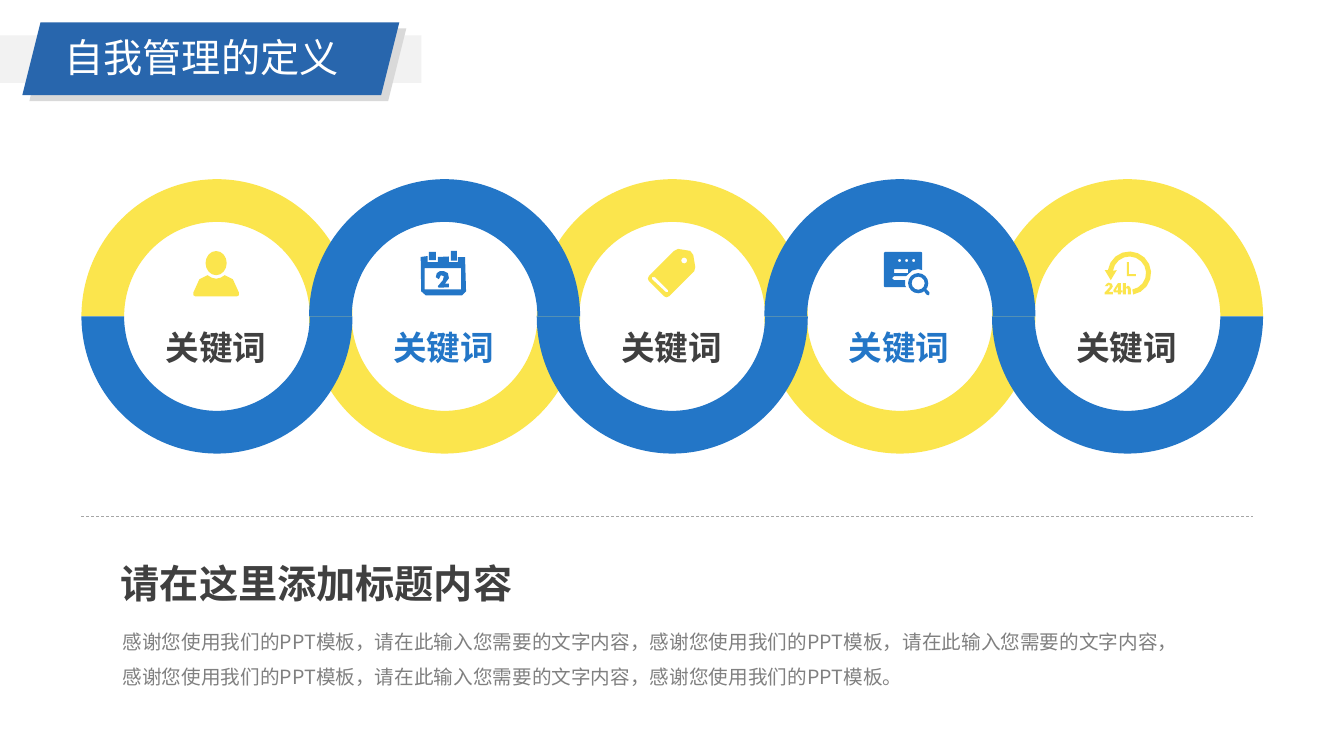
import math

import pptx
import pptx.dml.color
import pptx.enum.dml
import pptx.enum.shapes
import pptx.enum.text
import pptx.oxml.ns
import pptx.util
from lxml import etree

Pt = pptx.util.Pt
RGBColor = pptx.dml.color.RGBColor
SHAPES = pptx.enum.shapes.MSO_SHAPE
ALIGN = pptx.enum.text.PP_ALIGN
ANCHOR = pptx.enum.text.MSO_ANCHOR

# Content
TITLE = "自我管理的定义"
KEYWORDS = ["关键词"] * 5
HEADING = "请在这里添加标题内容"
BODY = ("感谢您使用我们的PPT模板，请在此输入您需要的文字内容，"
        "感谢您使用我们的PPT模板，请在此输入您需要的文字内容，"
        "感谢您使用我们的PPT模板，请在此输入您需要的文字内容，"
        "感谢您使用我们的PPT模板。")

# Style
FONT = "Noto Sans CJK SC"
WHITE = RGBColor(0xFF, 0xFF, 0xFF)
PALE = RGBColor(0xF2, 0xF2, 0xF2)
SHADE = RGBColor(0xD9, 0xD9, 0xD9)
BANNER = RGBColor(0x28, 0x66, 0xAD)
YELLOW = RGBColor(0xFB, 0xE5, 0x4D)
BLUE = RGBColor(0x23, 0x76, 0xC7)
DARK = RGBColor(0x40, 0x40, 0x40)
GREY = RGBColor(0x80, 0x80, 0x80)
RULE = RGBColor(0xA6, 0xA6, 0xA6)

# Ring chain, in points
FIRST_X, CENTER_Y, PITCH = 155, 226, 162.6
RADIUS_X, RADIUS_Y, BAND = 96.8, 98, 30.5
HALF_TURN = 108  # 180 degrees in block-arc adjustment units
ICON_UNIT = 0.72


def arc(x, y, radius_x, radius_y, start=0, end=360, steps=12):
    """Points along an ellipse; angles in degrees, clockwise from the right."""
    angles = [math.radians(start + (end - start) * i / steps) for i in range(steps + 1)]
    return [(x + radius_x * math.cos(a), y + radius_y * math.sin(a)) for a in angles]


def disc(x, y, radius, steps=12):
    return arc(x, y, radius, radius, steps=steps)


def block(left, top, right, bottom):
    return [(left, top), (right, top), (right, bottom), (left, bottom)]


# Icons: left, top in points, then outlines on a grid of ICON_UNIT; nested outlines are holes
PERSON = (138.2, 179.3, [
    arc(22.5, 12, 10.5, 12, steps=16),
    [(14, 24), (18, 26.5), (22.5, 27.5), (27, 26.5), (31, 24), (39, 28), (40, 30), (45, 41),
     (45, 44), (43, 45), (2, 45), (0, 44), (0, 41), (5, 30), (6, 28)],
])
CALENDAR = (300.5, 179.3, [
    [(0, 6), (7, 5), (7, 11), (17, 11), (17, 6), (28, 5.5), (28, 11), (37, 11), (37, 6),
     (44, 6), (45, 40), (41, 44), (5, 44), (0.5, 40)],
    block(4, 17, 40, 38),
    block(8, 1, 15, 9),
    block(30, 0, 36, 9.5),
    [(15, 26), (18, 28), (20, 24), (23, 25), (22, 29), (17, 35), (18, 36.5), (28, 36),
     (28, 32.5), (24, 32.5), (28, 27), (27, 22), (23, 20), (19, 20), (16, 22)],
])
TAG = (462.8, 177.8, [
    [(47, 18), (45, 6), (42, 2), (30, 0), (26, 2), (1, 27), (0, 29.5), (1, 32),
     (16, 47), (18.5, 48), (21, 47), (46, 22)],
    [(4, 28), (7, 28), (20, 41), (20, 43), (18, 43), (4, 30)],
    disc(36, 11.5, 3, 8),
])
SEARCH = (631.4, 180, [
    [(0, 1), (1, 0), (37, 0), (38, 1), (38, 18), (34, 17), (28, 18.5), (22, 24), (10, 24),
     (8, 26), (10, 28), (21, 28), (21, 33), (22, 35), (1, 35), (0, 34)],
    block(10, 17, 24, 21),
    *[disc(x, 8.5, 1.6, 6) for x in (15.5, 22.5, 29.5)],
    disc(34, 31, 10, 16),
    disc(34, 31, 6.5),
    [(40, 39), (42, 37), (45, 40), (45, 42), (44, 43), (42, 42)],
])
CLOCK = (789.1, 180, [
    arc(24.5, 21, 21.5, 21.5, 188, 440) + arc(24.5, 21, 16.5, 16.5, 440, 188)
    + [(12, 18), (6, 28), (0, 18)],
    [(22, 10), (24, 10), (24, 22), (31, 22), (31, 24), (22, 24)],
    [(0, 34), (2, 31.5), (4, 30.5), (7, 31.5), (8, 34), (7, 36), (4, 39.5), (8, 39.5),
     (8, 42), (0, 42), (0, 40), (5, 35), (5, 33), (4, 32.3), (3, 34)],
    [(8.5, 38), (13, 31), (16, 31), (16, 38), (17.5, 38), (17.5, 40), (16, 40), (16, 42),
     (13, 42), (13, 40), (9, 40)],
    [(13, 34), (11, 38), (13, 38)],
    [(18, 31), (21, 31), (21, 35), (23, 33.5), (25, 34.5), (26, 37), (26, 42), (23, 42),
     (23, 37), (22, 35.5), (21, 37), (21, 42), (18, 42)],
])
ICONS = [PERSON, CALENDAR, TAG, SEARCH, CLOCK]

deck = pptx.Presentation()
deck.slide_width, deck.slide_height = Pt(960), Pt(540)
page = deck.slides.add_slide(deck.slide_layouts[6])


def paint(shape, color):
    shape.fill.solid()
    shape.fill.fore_color.rgb = color
    shape.line.fill.background()
    shape.shadow.inherit = False


def add_preset(kind, place, color):
    shape = page.shapes.add_shape(kind, *map(Pt, place))
    paint(shape, color)
    return shape


def add_icon(left, top, contours, color):
    builder = None
    for contour in contours:
        points = [(Pt(left + x * ICON_UNIT), Pt(top + y * ICON_UNIT)) for x, y in contour]
        if builder is None:
            builder = page.shapes.build_freeform(*points[0])
        else:
            builder.move_to(*points[0])
        builder.add_line_segments(points[1:], close=True)
    paint(builder.convert_to_shape(), color)


def add_text(text, place, size, color, bold=False, align=ALIGN.LEFT, wrap=True,
             anchor=ANCHOR.TOP, spacing=None):
    box = page.shapes.add_textbox(*map(Pt, place))
    box.text_frame.word_wrap = wrap
    box.text_frame.vertical_anchor = anchor
    box.text_frame.text = text
    para = box.text_frame.paragraphs[0]
    para.alignment = align
    if spacing:
        para.line_spacing = spacing
    span = para.runs[0]
    span.font.name, span.font.size, span.font.bold = FONT, Pt(size), bold
    span.font.color.rgb = color
    east_asian = etree.SubElement(span.font._element, pptx.oxml.ns.qn("a:ea"))
    east_asian.set("typeface", FONT)


# Title banner
add_preset(SHAPES.RECTANGLE, (0, 25.3, 301, 34), PALE)
add_preset(SHAPES.PARALLELOGRAM, (21, 20.2, 269.3, 52), SHADE)
add_preset(SHAPES.PARALLELOGRAM, (16, 16, 269.3, 52), BANNER)
add_text(TITLE, (39, 20.2, 212.4, 41), 28, WHITE, wrap=False)

# Dashed divider
divider = page.shapes.add_connector(pptx.enum.shapes.MSO_CONNECTOR.STRAIGHT,
                                    Pt(58), Pt(368.5), Pt(895), Pt(368.5))
divider.line.color.rgb = RULE
divider.line.width = Pt(0.5)
divider.line.dash_style = pptx.enum.dml.MSO_LINE.DASH
etree.SubElement(divider._element.spPr, pptx.oxml.ns.qn("a:effectLst"))

# Interwoven rings: yellow starts over the top, blue below; blue lies in front
for color, first_on_top in ((YELLOW, True), (BLUE, False)):
    for i in range(len(KEYWORDS)):
        on_top = first_on_top == (i % 2 == 0)
        half = add_preset(SHAPES.BLOCK_ARC, (FIRST_X + i * PITCH - RADIUS_X, CENTER_Y - RADIUS_Y,
                                             2 * RADIUS_X, 2 * RADIUS_Y), color)
        half.adjustments[0] = HALF_TURN if on_top else 0
        half.adjustments[1] = 0 if on_top else HALF_TURN
        half.adjustments[2] = BAND / (2 * RADIUS_X)

# Keywords and icons
for i, (keyword, icon) in enumerate(zip(KEYWORDS, ICONS)):
    add_text(keyword, (94.4 + i * PITCH, 227.5, 120, 40.3), 24, BLUE if i % 2 else DARK,
             bold=True, align=ALIGN.CENTER, anchor=ANCHOR.MIDDLE)
    add_icon(*icon, BLUE if i % 2 else YELLOW)

# Heading and description
add_text(HEADING, (68.4, 396, 304.6, 41), 28, DARK, bold=True, align=ALIGN.RIGHT, wrap=False)
add_text(BODY, (80.6, 437.8, 779.8, 54), 14, GREY, spacing=1.5)

deck.save("out.pptx")
